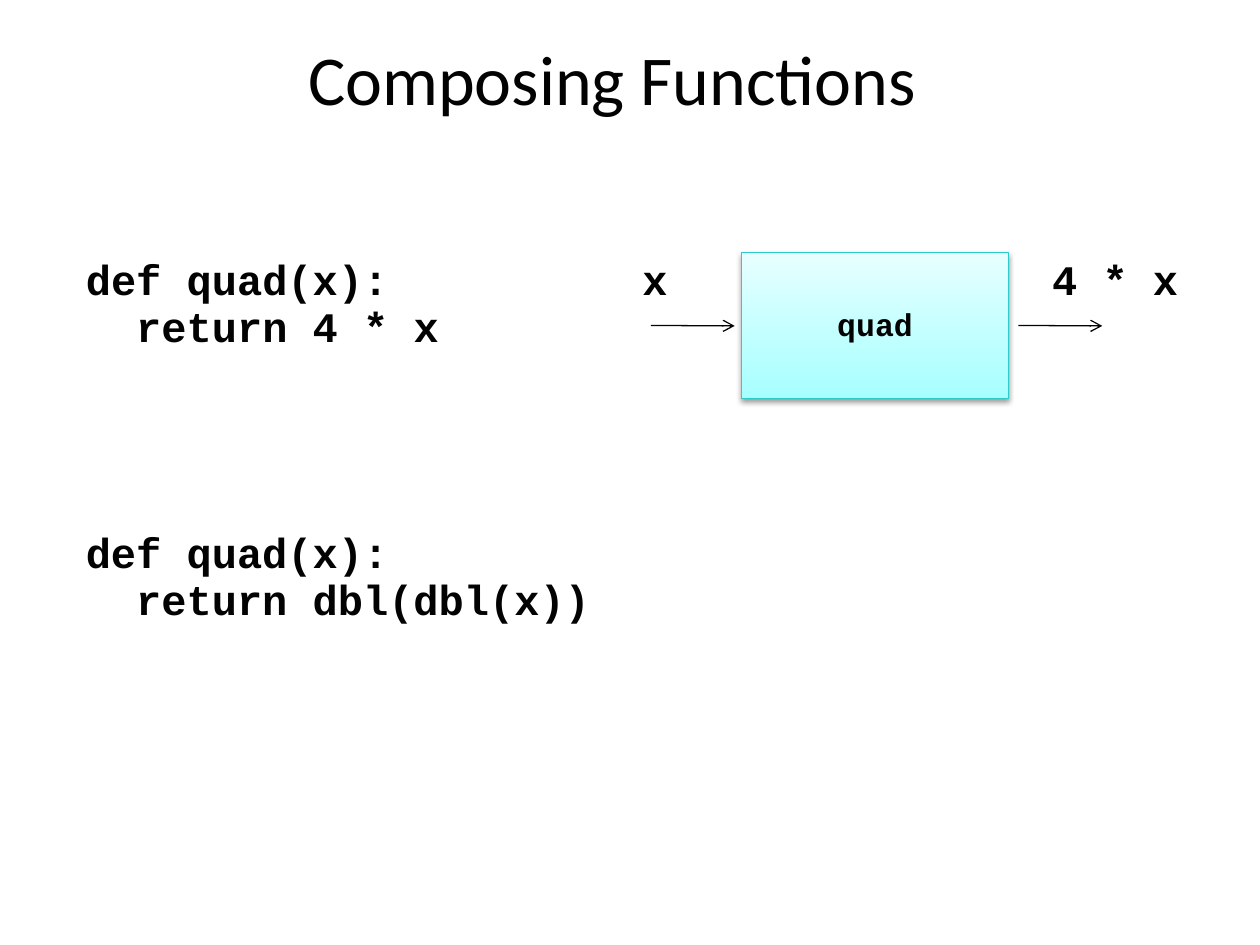
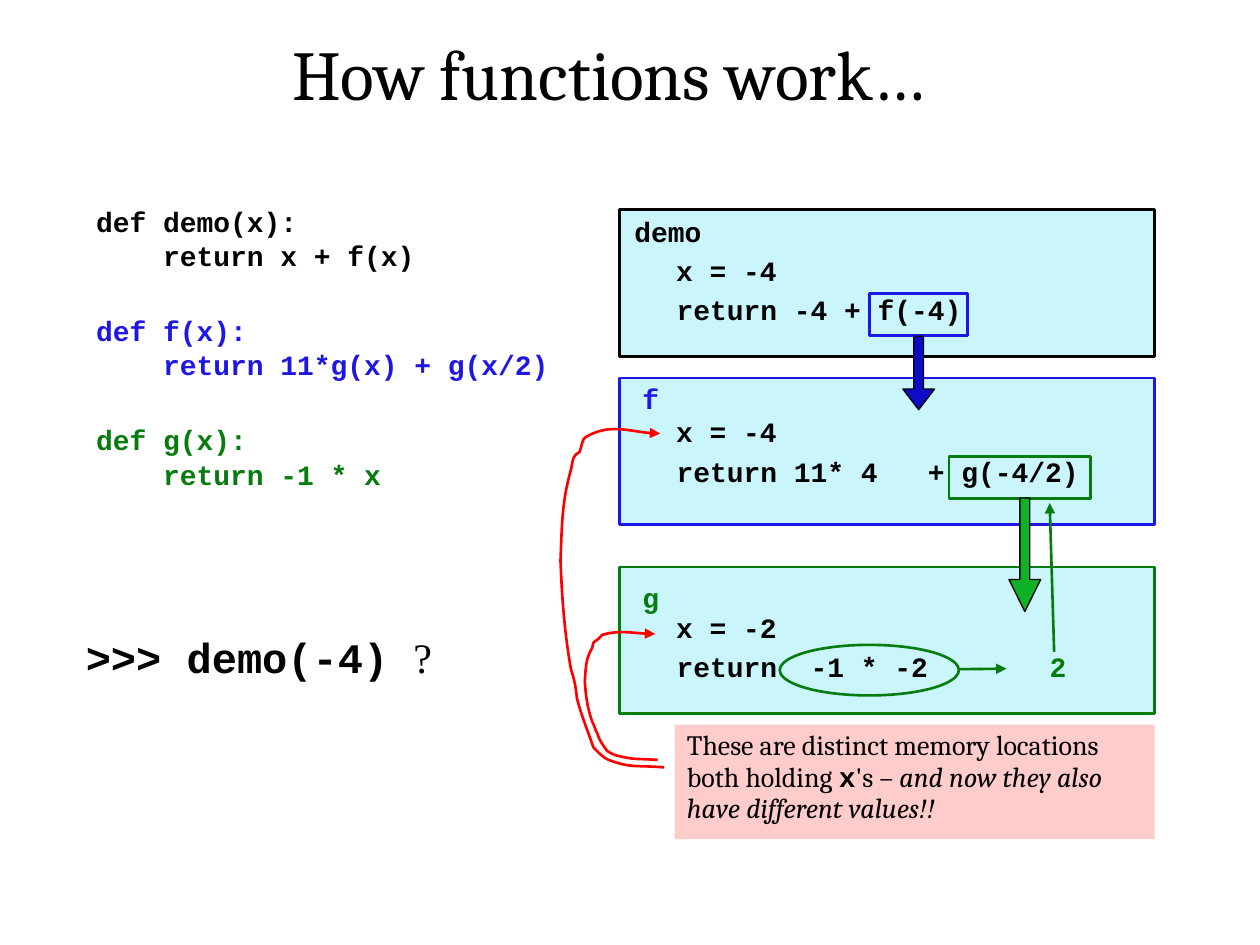
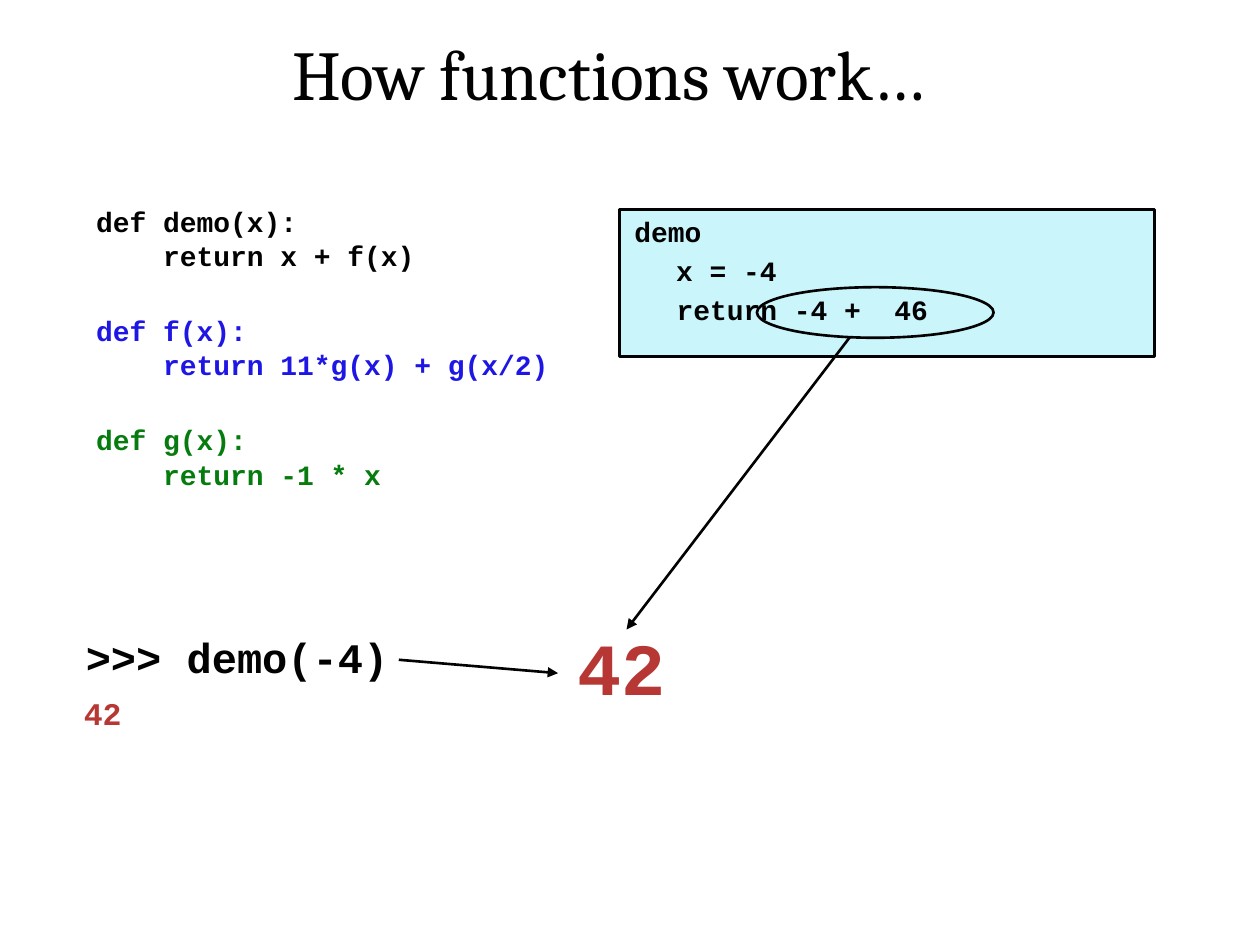
from dataclasses import dataclass

import lxml.etree
import pptx
import pptx.dml.color
import pptx.enum.shapes
import pptx.enum.text
import pptx.oxml.ns
import pptx.presentation
import pptx.shapes.base
import pptx.slide
import pptx.text.text
import pptx.util

Cm = pptx.util.Cm
Pt = pptx.util.Pt
RGBColor = pptx.dml.color.RGBColor
SHAPE = pptx.enum.shapes.MSO_SHAPE
ALIGN = pptx.enum.text.PP_ALIGN
ANCHOR = pptx.enum.text.MSO_ANCHOR
qn = pptx.oxml.ns.qn

INK = RGBColor(0x02, 0x02, 0x02)
BLUE = RGBColor(0x1E, 0x16, 0xE4)
GREEN = RGBColor(0x06, 0x7B, 0x0E)
RED = RGBColor(0xFF, 0x00, 0x00)
RESULT = RGBColor(0xB6, 0x37, 0x34)
FRAME_FILL = RGBColor(0xCA, 0xF5, 0xFB)
NOTE_FILL = RGBColor(0xFF, 0xCC, 0xCC)
BLUE_ARROW = RGBColor(0x0C, 0x0B, 0xC6)
GREEN_ARROW = RGBColor(0x0F, 0xB1, 0x26)
BOX_LINE = RGBColor(0x2E, 0xCB, 0xCB)
BOX_BOTTOM = RGBColor(0xA7, 0xFF, 0xFF)
BOX_TOP = RGBColor(0xE7, 0xFF, 0xFF)

CODE_FONT = "Courier New"
BODY_FONT = "Cambria"
LINE_SPACING = 0.93

Point = tuple[float, float]


@dataclass
class Box:
    left: float
    top: float
    width: float
    height: float

    def emu(self) -> tuple[pptx.util.Length, ...]:
        return Cm(self.left), Cm(self.top), Cm(self.width), Cm(self.height)


@dataclass
class Span:
    text: str
    font: str = CODE_FONT
    bold: bool = True
    italic: bool = False


@dataclass
class Code:
    text: str
    left: float
    top: float
    size: float = 16
    color: RGBColor = INK

    def box(self) -> Box:
        lines = self.text.split("\n")
        width = 0.51 + max(map(len, lines)) * self.size * 0.0212
        return Box(self.left, self.top, width, 0.25 + len(lines) * self.size * 0.0429)


@dataclass
class Definition:
    text: str
    color: RGBColor
    width: float


@dataclass
class Outline:
    preset: SHAPE
    box: Box
    line: RGBColor | None
    fill: RGBColor | None = None
    weight: float = 1.5


@dataclass
class Arrow:
    start: Point
    end: Point
    color: RGBColor = INK
    weight: float = 1.5
    head: str = "triangle"


DEFINITIONS = [
    Definition("def demo(x):\n    return x + f(x)", INK, 9.1),
    Definition("def f(x):\n    return 11*g(x) + g(x/2)", BLUE, 10.16),
    Definition("def g(x):\n    return -1 * x", GREEN, 7.42),
]
F_CURVE: list[Point] = [
    (13.39, 15.47),
    (12.73, 15.42), (12.75, 15.49), (12.27, 15.32),
    (12.14, 15.27), (11.96, 15.06), (11.96, 15.06),
    (11.86, 14.76), (11.71, 14.4), (11.63, 14.07),
    (11.61, 13.87), (11.58, 13.69), (11.51, 13.49),
    (11.38, 12.75), (11.33, 12.07), (11.3, 11.3),
    (11.33, 10.54), (11.33, 10.11), (11.51, 9.47),
    (11.56, 9.27), (11.53, 9.19), (11.68, 9.12),
    (11.73, 9.02), (11.73, 8.84), (11.81, 8.81),
    (12.29, 8.53), (12.8, 8.74), (13.31, 8.74),
]
G_CURVE: list[Point] = [
    (13.26, 15.32),
    (12.8, 15.29), (12.8, 15.32), (12.47, 15.24),
    (12.4, 15.24), (12.24, 15.14), (12.24, 15.14),
    (12.17, 15.04), (12.07, 14.91), (12.04, 14.78),
    (11.99, 14.71), (11.99, 14.63), (11.94, 14.55),
    (11.84, 14.27), (11.81, 14.02), (11.79, 13.74),
    (11.81, 13.44), (11.81, 13.28), (11.94, 13.06),
    (11.96, 12.98), (11.94, 12.95), (12.04, 12.9),
    (12.09, 12.88), (12.09, 12.83), (12.14, 12.8),
    (12.47, 12.7), (12.85, 12.78), (13.21, 12.78),
]


def style_run(r: pptx.text.text._Run, font: str, size: float, color: RGBColor,
              bold: bool = True, italic: bool = False) -> None:
    r.font.name = font
    r.font.size = Pt(size)
    r.font.color.rgb = color
    r.font.bold = bold
    r.font.italic = italic


def write(tf: pptx.text.text.TextFrame, text: str, font: str, size: float,
          color: RGBColor = INK, bold: bool = True,
          align: ALIGN = ALIGN.LEFT, spacing: float = LINE_SPACING) -> None:
    tf.text = text
    for p in tf.paragraphs:
        p.alignment = align
        p.line_spacing = spacing
        for r in p.runs:
            style_run(r, font, size, color, bold)


def write_spans(tf: pptx.text.text.TextFrame, spans: list[Span], size: float) -> None:
    p = tf.paragraphs[0]
    p.alignment = ALIGN.LEFT
    p.line_spacing = LINE_SPACING
    for span in spans:
        r = p.add_run()
        r.text = span.text
        style_run(r, span.font, size, INK, span.bold, span.italic)


def add_text_box(s: pptx.slide.Slide, box: Box, wrap: bool = True) -> pptx.text.text.TextFrame:
    tf = s.shapes.add_textbox(*box.emu()).text_frame
    tf.word_wrap = wrap
    tf.auto_size = pptx.enum.text.MSO_AUTO_SIZE.SHAPE_TO_FIT_TEXT
    return tf


def add_title(s: pptx.slide.Slide, text: str, box: Box, font: str) -> None:
    write(add_text_box(s, box), text, font, 40, bold=False, align=ALIGN.CENTER)


def add_codes(s: pptx.slide.Slide, codes: list[Code]) -> None:
    for code in codes:
        tf = add_text_box(s, code.box(), wrap=False)
        write(tf, code.text, CODE_FONT, code.size, code.color)


def add_outline(s: pptx.slide.Slide, outline: Outline) -> pptx.shapes.base.BaseShape:
    sp = s.shapes.add_shape(outline.preset, *outline.box.emu())
    sp.shadow.inherit = False
    if outline.fill is None:
        sp.fill.background()
    else:
        sp.fill.solid()
        sp.fill.fore_color.rgb = outline.fill
    if outline.line is None:
        sp.line.fill.background()
    else:
        sp.line.color.rgb = outline.line
        sp.line.width = Pt(outline.weight)
    return sp


def add_head(sp: pptx.shapes.base.BaseShape, head: str) -> None:
    ln = sp.element.spPr.find(qn("a:ln"))
    lxml.etree.SubElement(ln, qn("a:tailEnd"), type=head)


def add_arrow(s: pptx.slide.Slide, arrow: Arrow) -> None:
    ends = [Cm(v) for v in arrow.start + arrow.end]
    sp = s.shapes.add_connector(pptx.enum.shapes.MSO_CONNECTOR.STRAIGHT, *ends)
    sp.line.color.rgb = arrow.color
    sp.line.width = Pt(arrow.weight)
    add_head(sp, arrow.head)
    lxml.etree.SubElement(sp.element.spPr, qn("a:effectLst"))


def add_block_arrow(s: pptx.slide.Slide, box: Box, fill: RGBColor, head_ratio: float) -> None:
    sp = add_outline(s, Outline(SHAPE.DOWN_ARROW, box, INK, fill, 0.75))
    sp.adjustments[0] = 0.31
    sp.adjustments[1] = head_ratio


def add_curve(s: pptx.slide.Slide, points: list[Point]) -> None:
    corners = [(Cm(x), Cm(y)) for x, y in points]
    builder = s.shapes.build_freeform(*corners[0])
    builder.add_line_segments(corners[3::3], close=False)
    sp = builder.convert_to_shape()
    for i, segment in enumerate(list(sp.element.spPr.iter(qn("a:lnTo")))):
        segment.tag = qn("a:cubicBezTo")
        for j, (x, y) in enumerate(corners[3 * i + 1:3 * i + 3]):
            control = lxml.etree.Element(qn("a:pt"), x=str(x - sp.left), y=str(y - sp.top))
            segment.insert(j, control)
    sp.shadow.inherit = False
    sp.fill.background()
    sp.line.color.rgb = RED
    sp.line.width = Pt(1.5)
    add_head(sp, "triangle")


def add_frame(s: pptx.slide.Slide, top: float, color: RGBColor) -> None:
    add_outline(s, Outline(SHAPE.RECTANGLE, Box(12.49, top, 10.79, 2.96), color, FRAME_FILL))


def add_definitions(s: pptx.slide.Slide) -> None:
    for i, definition in enumerate(DEFINITIONS):
        tf = add_text_box(s, Box(1.69, 4.24 + 2.2 * i, definition.width, 1.4))
        write(tf, definition.text, CODE_FONT, 16, definition.color, spacing=0.6)
        tf.paragraphs[1].space_before = Pt(8)


def add_prompt(s: pptx.slide.Slide, spans: list[Span]) -> None:
    write_spans(add_text_box(s, Box(1.48, 12.7, 10.36, 1.27)), spans, 24)


def add_function_box(s: pptx.slide.Slide, name: str, box: Box) -> None:
    sp = add_outline(s, Outline(SHAPE.RECTANGLE, box, BOX_LINE, BOX_BOTTOM, 0.75))
    sp.fill.gradient()
    sp.fill.gradient_angle = 90
    for stop, color in zip(sp.fill.gradient_stops, (BOX_BOTTOM, BOX_TOP)):
        stop.color.rgb = color
    effects = sp.element.spPr.find(qn("a:effectLst"))
    shadow = lxml.etree.SubElement(
        effects, qn("a:outerShdw"), blurRad="40000", dist="20000", dir="5400000", rotWithShape="0")
    black = lxml.etree.SubElement(shadow, qn("a:srgbClr"), val="000000")
    lxml.etree.SubElement(black, qn("a:alpha"), val="38000")
    sp.text_frame.vertical_anchor = ANCHOR.MIDDLE
    write(sp.text_frame, name, CODE_FONT, 18, align=ALIGN.CENTER)


def add_blank(prs: pptx.presentation.Presentation) -> pptx.slide.Slide:
    return prs.slides.add_slide(prs.slide_layouts[6])


def start_trace(prs: pptx.presentation.Presentation, return_line: str) -> pptx.slide.Slide:
    s = add_blank(prs)
    add_title(s, "How functions work…", Box(3.6, 0.64, 17.35, 1.96), BODY_FONT)
    add_frame(s, 4.23, INK)
    add_definitions(s)
    add_codes(s, [
        Code("demo", 12.54, 4.27),
        Code("x = -4", 13.38, 5.04),
        Code(return_line, 13.39, 5.84),
    ])
    return s


def build_composing(prs: pptx.presentation.Presentation) -> None:
    s = add_blank(prs)
    add_title(s, "Composing Functions", Box(1.23, 0.74, 22.22, 1.85), "Calibri")
    add_function_box(s, "quad", Box(14.95, 5.09, 5.38, 2.95))
    for left in (13.12, 20.53):
        add_arrow(s, Arrow((left, 6.56), (left + 1.69, 6.57), weight=0.75, head="arrow"))
    add_codes(s, [
        Code("def quad(x):\n  return 4 * x", 1.48, 5.08, 24),
        Code("x", 12.7, 5.08, 24),
        Code("4 * x", 20.96, 5.08, 24),
        Code("def quad(x):\n  return dbl(dbl(x))", 1.48, 10.58, 24),
    ])


def build_calls(prs: pptx.presentation.Presentation) -> None:
    s = start_trace(prs, "return -4 + f(-4)")
    add_frame(s, 7.62, BLUE)
    add_frame(s, 11.43, GREEN)
    add_codes(s, [
        Code("f", 12.7, 7.62, color=BLUE),
        Code("x = -4", 13.38, 8.3),
        Code("return 11* 4   + g(-4/2)", 13.39, 9.09),
        Code("g", 12.7, 11.63, color=GREEN),
        Code("x = -2", 13.38, 12.24),
        Code("return  -1 * -2", 13.39, 13.03),
        Code("2", 20.91, 13.03, color=GREEN),
    ])
    for outline in (
        Outline(SHAPE.OVAL, Box(15.72, 13, 3.61, 1.02), GREEN),
        Outline(SHAPE.RECTANGLE, Box(17.53, 5.92, 1.98, 0.85), BLUE),
        Outline(SHAPE.RECTANGLE, Box(19.13, 9.2, 2.86, 0.85), GREEN),
    ):
        add_outline(s, outline)
    add_arrow(s, Arrow((21.25, 13.14), (21.16, 10.14), GREEN))
    add_arrow(s, Arrow((19.33, 13.49), (20.29, 13.48), GREEN))
    add_block_arrow(s, Box(18.2, 6.78, 0.64, 1.48), BLUE_ARROW, 0.65)
    add_block_arrow(s, Box(20.34, 10.04, 0.64, 2.29), GREEN_ARROW, 1.01)
    add_prompt(s, [Span(">>> demo(-4) "), Span("?", "Times New Roman", False)])
    for curve in (F_CURVE, G_CURVE):
        add_curve(s, curve)
    note = add_outline(s, Outline(SHAPE.RECTANGLE, Box(13.6, 14.61, 9.68, 2.31), None, NOTE_FILL))
    note.text_frame.word_wrap = True
    note.text_frame.vertical_anchor = ANCHOR.TOP
    write_spans(note.text_frame, [
        Span("These are distinct memory locations both holding ", BODY_FONT, False),
        Span("x"),
        Span("'s – ", BODY_FONT, False),
        Span("and now they also have different values!!", BODY_FONT, False, True),
    ], 16)


def build_result(prs: pptx.presentation.Presentation) -> None:
    s = start_trace(prs, "return -4 +  46")
    add_outline(s, Outline(SHAPE.OVAL, Box(15.26, 5.79, 4.77, 1.02), INK))
    add_arrow(s, Arrow((17.13, 6.8), (12.63, 12.69)))
    add_arrow(s, Arrow((8.04, 13.3), (11.25, 13.57)))
    add_prompt(s, [Span(">>> demo(-4)")])
    add_codes(s, [
        Code("42", 11.39, 12.57, 42, RESULT),
        Code("42", 1.44, 13.94, 18, RESULT),
    ])


def main() -> None:
    prs = pptx.Presentation()
    prs.slide_width = Cm(25.4)
    prs.slide_height = Cm(19.05)
    build_composing(prs)
    build_calls(prs)
    build_result(prs)
    prs.save("out.pptx")


if __name__ == "__main__":
    main()
